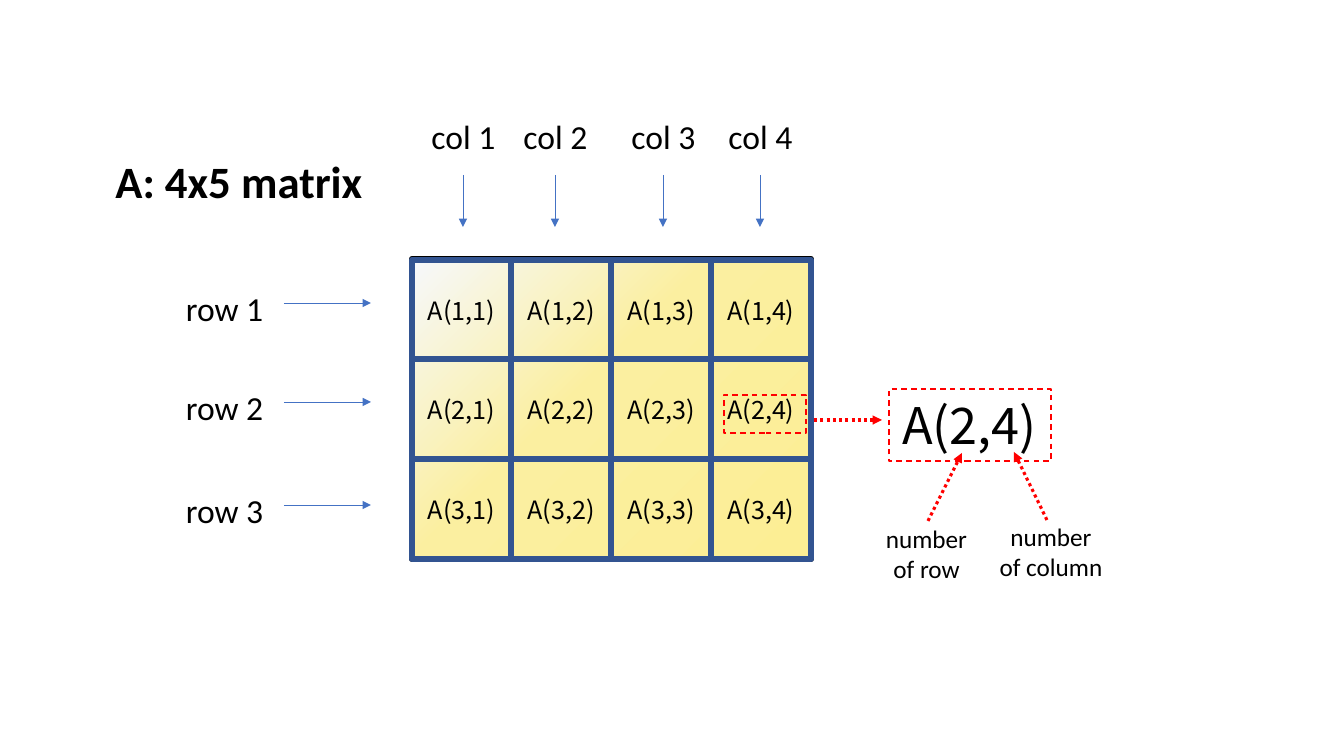
from copy import deepcopy
from dataclasses import dataclass

from pptx import Presentation, util as u
from pptx.dml.color import RGBColor
from pptx.enum import dml, shapes, text
from pptx.oxml.ns import qn
from lxml import etree

DASH, DOT = dml.MSO_LINE.DASH, dml.MSO_LINE.ROUND_DOT
PLAIN = "{2D5ABB26-0587-4C30-8999-92F81FD0307C}"  # table style without grid


@dataclass(frozen=True)
class Theme:
    """Colours, fonts and type sizes."""
    ink: str = "000000"
    red: str = "FF0000"
    blue: str = "4472C4"
    navy: str = "325491"
    fade: tuple = ((0, "F6F8FC"), (0.43, "FBEFA0"), (1, "FCEE94"))
    sans: str = "Calibri"
    noto: str = "Noto Sans CJK KR"
    head: int = 32
    label: int = 24
    note: int = 18
    big: int = 36


class Deck:
    """Holds the theme and the current slide."""

    def __init__(self, theme):
        """Open a slide with a title placeholder."""
        self.theme = theme
        self.file = Presentation()
        self.file.slide_width = self.px(1344)
        self.file.slide_height = self.px(756)
        self.slide = self.file.slides.add_slide(self.file.slide_layouts[5])
        self.items = self.slide.shapes

    def px(self, n):
        """Turn pixels into EMU."""
        return u.Emu(round(n * 914400 / 100.8))

    def box(self, *at):
        """Turn several pixel lengths into EMU."""
        return [self.px(n) for n in at]

    def words(self, frame, lines, size, font=None, bold=False):
        """Fill a text frame with centred lines."""
        for n, line in enumerate(lines):
            para = frame.add_paragraph() if n else frame.paragraphs[0]
            para.alignment = text.PP_ALIGN.CENTER
            run = para.add_run()
            run.text = line
            run.font.size = u.Pt(size)
            run.font.name = font or self.theme.sans
            run.font.bold = bold
            run.font.color.rgb = RGBColor.from_string(self.theme.ink)

    def title(self, at, line):
        """Move and fill the title placeholder."""
        item = self.items.title
        item.left, item.top, item.width, item.height = self.box(*at)
        frame = item.text_frame
        frame.auto_size = text.MSO_AUTO_SIZE.NONE
        frame.vertical_anchor = text.MSO_ANCHOR.TOP
        frame.word_wrap = False
        self.words(frame, [line], self.theme.head, bold=True)

    def label(self, at, lines, size, font=None):
        """Add a text box."""
        frame = self.items.add_textbox(*self.box(*at)).text_frame
        frame.word_wrap = False
        self.words(frame, lines, size, font)

    def stroke(self, line, color, width, dash=None):
        """Format a line."""
        line.color.rgb = RGBColor.from_string(color)
        line.width = u.Pt(width)
        if dash:
            line.dash_style = dash

    def rect(self, at, color, width, dash=None, fade=None):
        """Add a rectangle, hollow unless it has a gradient."""
        item = self.items.add_shape(shapes.MSO_SHAPE.RECTANGLE, *self.box(*at))
        item.shadow.inherit = False
        self.stroke(item.line, color, width, dash)
        if not fade:
            item.fill.background()
            return
        item.fill.gradient()
        item.fill.gradient_angle = 315
        stops = next(item._element.iter(qn("a:gsLst")))
        stops.append(deepcopy(stops[-1]))
        for stop, (pos, tone) in zip(item.fill.gradient_stops, fade):
            stop.position = pos
            stop.color.rgb = RGBColor.from_string(tone)

    def arrow(self, ends, color, width, dash=None):
        """Add a straight arrow from the first point to the second."""
        item = self.items.add_connector(shapes.MSO_CONNECTOR.STRAIGHT, *self.box(*ends))
        self.stroke(item.line, color, width, dash)
        line = next(item._element.iter(qn("a:ln")))
        etree.SubElement(line, qn("a:tailEnd"), type="triangle")
        etree.SubElement(line.getparent(), qn("a:effectLst"))

    def table(self, xs, ys, name):
        """Add a clear table whose cells show their own indices."""
        at = self.box(xs[0], ys[0], xs[-1] - xs[0], ys[-1] - ys[0])
        grid = self.items.add_table(len(ys) - 1, len(xs) - 1, *at).table
        grid.first_row = grid.horz_banding = False
        next(grid._tbl.iter(qn("a:tableStyleId"))).text = PLAIN
        for col, a, b in zip(grid.columns, xs, xs[1:]):
            col.width = self.px(b - a)
        for r, (row, a, b) in enumerate(zip(grid.rows, ys, ys[1:]), 1):
            row.height = self.px(b - a)
            for c, cell in enumerate(row.cells, 1):
                cell.fill.background()
                cell.vertical_anchor = text.MSO_ANCHOR.MIDDLE
                self.words(cell.text_frame, [f"{name}({r},{c})"],
                           self.theme.note, self.theme.noto)


def main():
    """Build the matrix slide."""
    look = Theme()
    deck = Deck(look)
    xs = [412 + 399 * n // 4 for n in range(5)]
    ys = [260 + 299 * n // 3 for n in range(4)]

    deck.title((104, 149, 270, 64), "A: 4x5 matrix")
    deck.rect((412, 259, 399, 300), look.ink, 4.5, fade=look.fade)

    for n, y in enumerate((303, 402, 505), 1):
        deck.label((175, y - 20, 99, 50), [f"row {n}"], look.label)
        deck.arrow((284, y, 371, y), look.blue, 0.5)
    for n, x in enumerate((463, 555, 663, 760), 1):
        deck.label((x - 42, 111, 85, 50), [f"col {n}"], look.label)
        deck.arrow((x, 175, x, 227), look.blue, 0.5)

    deck.label((882, 389, 175, 72), ["A(2,4)"], look.big, look.noto)
    for at in ((724, 395, 82, 38), (889, 389, 162, 72)):
        deck.rect(at, look.red, 1, DASH)
    for ends in ((814, 420, 882, 420), (928, 521, 962, 453), (1047, 520, 1014, 452)):
        deck.arrow(ends, look.red, 2.25, DOT)
    deck.label((875, 518, 103, 72), ["number", "of row"], look.note)
    deck.label((989, 516, 124, 72), ["number", "of column"], look.note)

    for top, low in zip(ys, ys[1:]):
        for left, right in zip(xs, xs[1:]):
            deck.rect((left, top, right - left, low - top), look.navy, 4.5)
    deck.table(xs, ys, "A")
    deck.file.save("out.pptx")


main()
